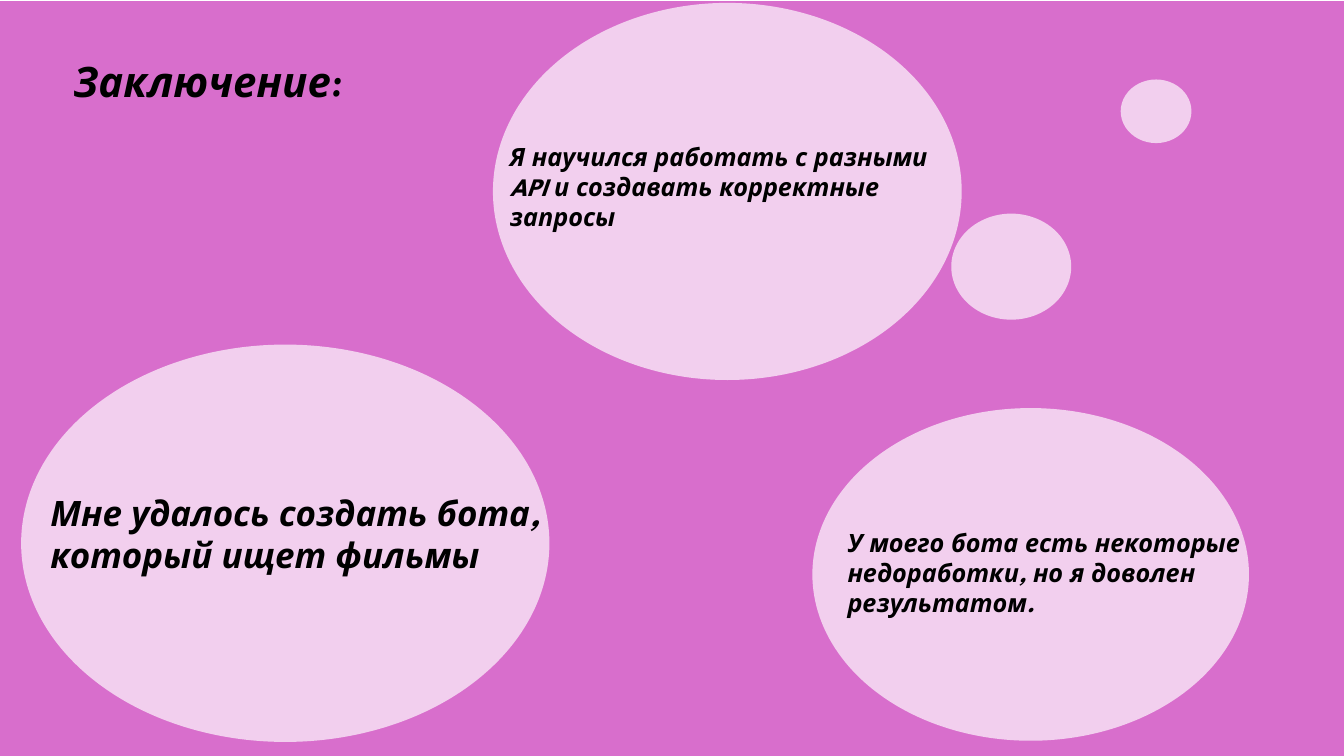
from pptx import Presentation
from pptx.dml.color import RGBColor
from pptx.enum.shapes import MSO_SHAPE
from pptx.enum.text import MSO_AUTO_SIZE
from pptx.util import Cm, Pt

RECTANGLE = MSO_SHAPE.RECTANGLE
OVAL = MSO_SHAPE.OVAL
FIT_SHAPE = MSO_AUTO_SIZE.SHAPE_TO_FIT_TEXT

COLORS = {"backdrop": "D86ECC", "bubble": "F2CFEE", "text": "000000"}
TITLE_FONT = "Karla"
BODY_FONT = "League Spartan"
SLIDE_WIDTH, SLIDE_HEIGHT = 33.87, 19.05


class SlideBuilder:
    """Holds the style and the current slide; lengths are centimetres."""

    def __init__(self, slide):
        self.slide = slide

    def color(self, name):
        return RGBColor.from_string(COLORS[name])

    def shape(self, kind, box, color_name):
        shape = self.slide.shapes.add_shape(kind, *map(Cm, box))
        shape.shadow.inherit = False
        shape.fill.solid()
        shape.fill.fore_color.rgb = self.color(color_name)
        shape.line.color.rgb = self.color(color_name)
        shape.line.width = Pt(1.5)

    def text(self, box, wording, size, font_name=BODY_FONT):
        frame = self.slide.shapes.add_textbox(*map(Cm, box)).text_frame
        frame.word_wrap = True
        frame.auto_size = FIT_SHAPE
        run = frame.paragraphs[0].add_run()
        run.text = wording
        font = run.font
        font.name = font_name
        font.size = Pt(size)
        font.bold = font.italic = True
        font.color.rgb = self.color("text")


def main():
    presentation = Presentation()
    presentation.slide_width = Cm(SLIDE_WIDTH)
    presentation.slide_height = Cm(SLIDE_HEIGHT)
    builder = SlideBuilder(presentation.slides.add_slide(presentation.slide_layouts[6]))

    # Backdrop and title
    builder.shape(RECTANGLE, (0, 0.05, SLIDE_WIDTH, SLIDE_HEIGHT), "backdrop")
    builder.text((1.6, 1.27, 18.9, 1.55), "Заключение:", 30, TITLE_FONT)

    # Small decorative bubbles
    for box in ((28.27, 2.03, 1.73, 1.55), (24, 5.41, 2.97, 2.62)):
        builder.shape(OVAL, box, "bubble")

    # Bubbles with conclusions: bubble box, text box, wording, size
    conclusions = [
        ((0.56, 8.71, 13.26, 9.96), (1.02, 12.27, 13.26, 2.39),
         "Мне удалось создать бота, который ищет фильмы", 25),
        ((12.45, 0.1, 11.76, 9.45), (12.6, 3.43, 11.76, 2.57),
         "Я научился работать с разными API и создавать корректные запросы", 18),
        ((20.5, 10.31, 10.95, 8.33), (21.11, 13.16, 13.21, 2.57),
         "У моего бота есть некоторые недоработки, но я доволен результатом.", 18),
    ]
    for bubble_box, text_box, wording, size in conclusions:
        builder.shape(OVAL, bubble_box, "bubble")
        builder.text(text_box, wording, size)

    presentation.save("out.pptx")


if __name__ == "__main__":
    main()
